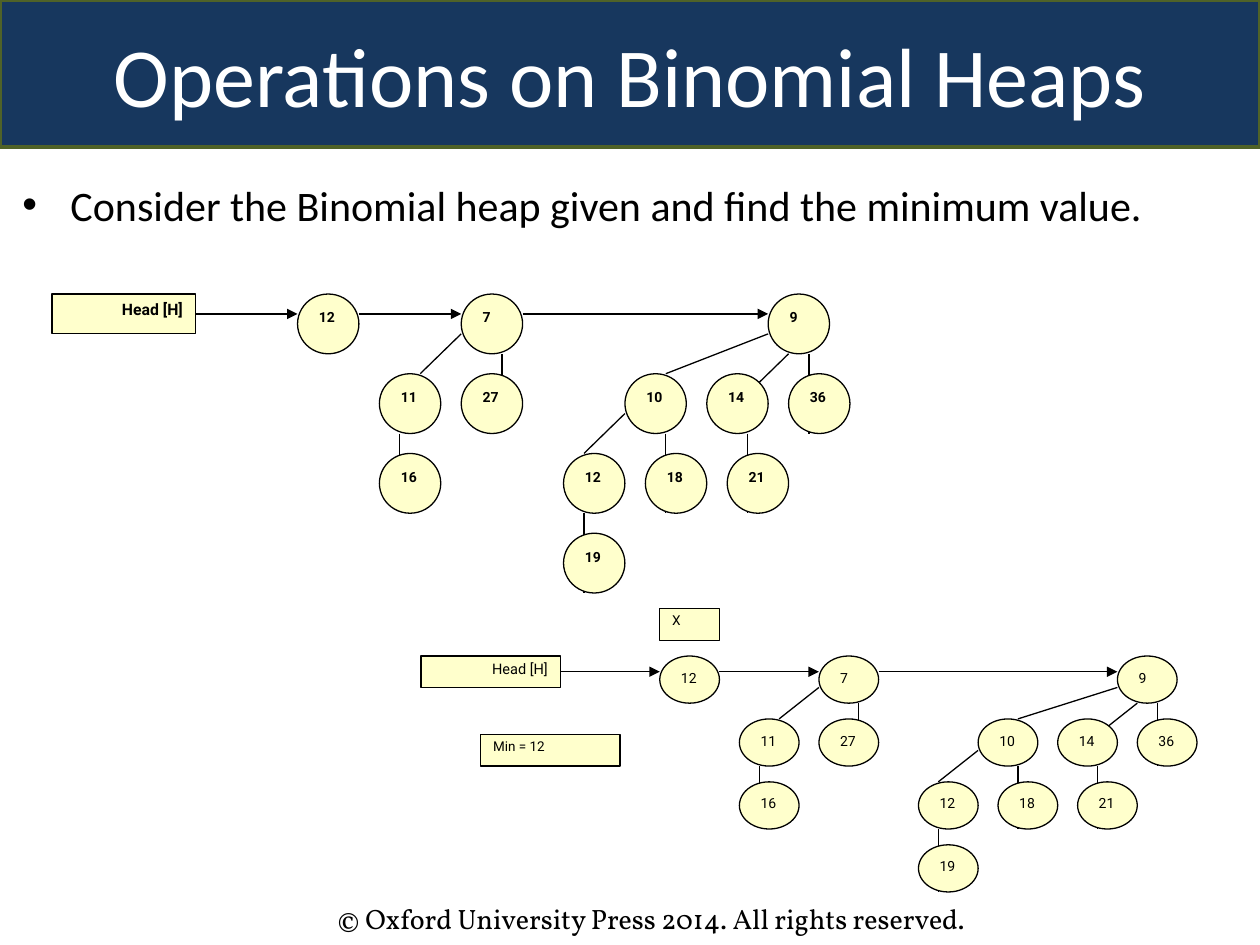
from lxml import etree
from pptx import Presentation, util as u
from pptx.dml.color import RGBColor
from pptx.enum import shapes, text
from pptx.oxml.ns import qn

PX = u.Inches(1) / 126
COLUMNS, ROWS = 39, 15
NODE_SIZE = 3
BLACK, CREAM = "000000", "FFFFCC"

ROOT_ARROWS = [(15, 1, 20, 1), (23, 1, 35, 1)]
EDGES = [
    (20, 2, 18, 4), (22, 3, 22, 5), (17, 7, 17, 9),
    (35, 2, 30, 4), (36, 3, 34, 5), (37, 3, 37, 7),
    (28, 6, 26, 8), (30, 7, 30, 11), (34, 7, 34, 11), (26, 11, 26, 15),
]
NODES = [
    ("12", 12, 0), ("7", 20, 0), ("9", 35, 0),
    ("11", 16, 4), ("27", 20, 4), ("10", 28, 4), ("14", 32, 4), ("36", 36, 4),
    ("16", 16, 8), ("12", 25, 8), ("18", 29, 8), ("21", 33, 8),
    ("19", 25, 12),
]
HEAPS = [
    dict(frame=(52, 294, 798, 299), bold=True,
         boxes=[("Head [H]", 0, 0, 7, 9, 1, "RIGHT")]),
    dict(frame=(421, 656, 776, 236), bold=False,
         boxes=[("Head [H]", 0, 0, 7, 8.3, 0.9, "RIGHT"),
                ("X", 12, -3, 3, 7.8, 0.8, "LEFT"),
                ("Min = 12", 3, 5, 7, 7.7, 0.8, "LEFT")]),
]


def px(*lengths):
    return [round(length * PX) for length in lengths]


def style_text(shape, content, size, font_name, color, bold=False, align="LEFT"):
    shape.text_frame.word_wrap = True
    shape.text_frame.text = content
    paragraph = shape.text_frame.paragraphs[0]
    paragraph.alignment = text.PP_ALIGN[align]
    font = paragraph.runs[0].font
    font.size = u.Pt(size)
    font.name = font_name
    font.bold = bold
    font.color.rgb = RGBColor.from_string(color)
    return paragraph


presentation = Presentation()
presentation.slide_width, presentation.slide_height = px(1260, 945)
slide = presentation.slides.add_slide(presentation.slide_layouts[5])

title = slide.shapes.title
title.left, title.top, title.width, title.height = px(0, 0, 1260, 147)
title.fill.solid()
title.fill.fore_color.rgb = RGBColor.from_string("17375E")
title.line.color.rgb = RGBColor.from_string("4F6228")
title.line.width = u.Pt(2)
style_text(title, "Operations on Binomial Heaps", 48, "Calibri", "FFFFFF", align="CENTER")
title.text_frame.vertical_anchor = text.MSO_ANCHOR.MIDDLE
title.text_frame.auto_size = text.MSO_AUTO_SIZE.NONE

question = slide.shapes.add_textbox(*px(10, 173, 1229, 63))
paragraph = style_text(question, "Consider the Binomial heap given and find the minimum value.",
                       24, "Calibri", BLACK, align="JUSTIFY")
question.text_frame.vertical_anchor = text.MSO_ANCHOR.MIDDLE
properties = paragraph._p.get_or_add_pPr()
indent = px(48)[0]
properties.set("marL", str(indent))
properties.set("indent", str(-indent))
etree.SubElement(properties, qn("a:buFont")).set("typeface", "Arial")
etree.SubElement(properties, qn("a:buChar")).set("char", "•")

for heap in HEAPS:
    left, top, width, height = heap["frame"]
    column, row = width / COLUMNS, height / ROWS
    group = slide.shapes.add_group_shape()

    boxes = []
    for label, x, y, span, size, spacing, align in heap["boxes"]:
        box = group.shapes.add_shape(
            shapes.MSO_SHAPE.RECTANGLE,
            *px(left + x * column, top + y * row, span * column, 2 * row))
        paragraph = style_text(box, label, size, "Roboto", BLACK, heap["bold"], align)
        paragraph.line_spacing = spacing
        boxes.append(box)

    head_arrow = (7, 1, 12, 1)
    for line in [head_arrow] + ROOT_ARROWS + EDGES:
        x1, y1, x2, y2 = line
        connector = group.shapes.add_connector(
            shapes.MSO_CONNECTOR.STRAIGHT,
            *px(left + x1 * column, top + y1 * row, left + x2 * column, top + y2 * row))
        connector.line.color.rgb = RGBColor.from_string(BLACK)
        connector.line.width = u.Pt(0.75)
        if line not in EDGES:
            etree.SubElement(connector.line._get_or_add_ln(), qn("a:tailEnd")).set("type", "triangle")
        etree.SubElement(connector._element.spPr, qn("a:effectLst"))
        if line == head_arrow:
            connector.begin_connect(boxes[0], 3)

    nodes = []
    for label, x, y in NODES:
        node = group.shapes.add_shape(
            shapes.MSO_SHAPE.OVAL,
            *px(left + x * column, top + y * row, NODE_SIZE * column, NODE_SIZE * row))
        style_text(node, label, 8, "Roboto", BLACK, heap["bold"])
        nodes.append(node)

    for shape in boxes + nodes:
        shape.shadow.inherit = False
        shape.fill.solid()
        shape.fill.fore_color.rgb = RGBColor.from_string(CREAM)
        shape.line.color.rgb = RGBColor.from_string(BLACK)
        shape.line.width = u.Pt(0.75)
        shape.text_frame.vertical_anchor = text.MSO_ANCHOR.TOP

copyright_line = slide.shapes.add_textbox(*px(325, 895, 746, 47))
style_text(copyright_line, "© Oxford University Press 2014. All rights reserved.", 16, "Vollkorn", BLACK)

presentation.save("out.pptx")
